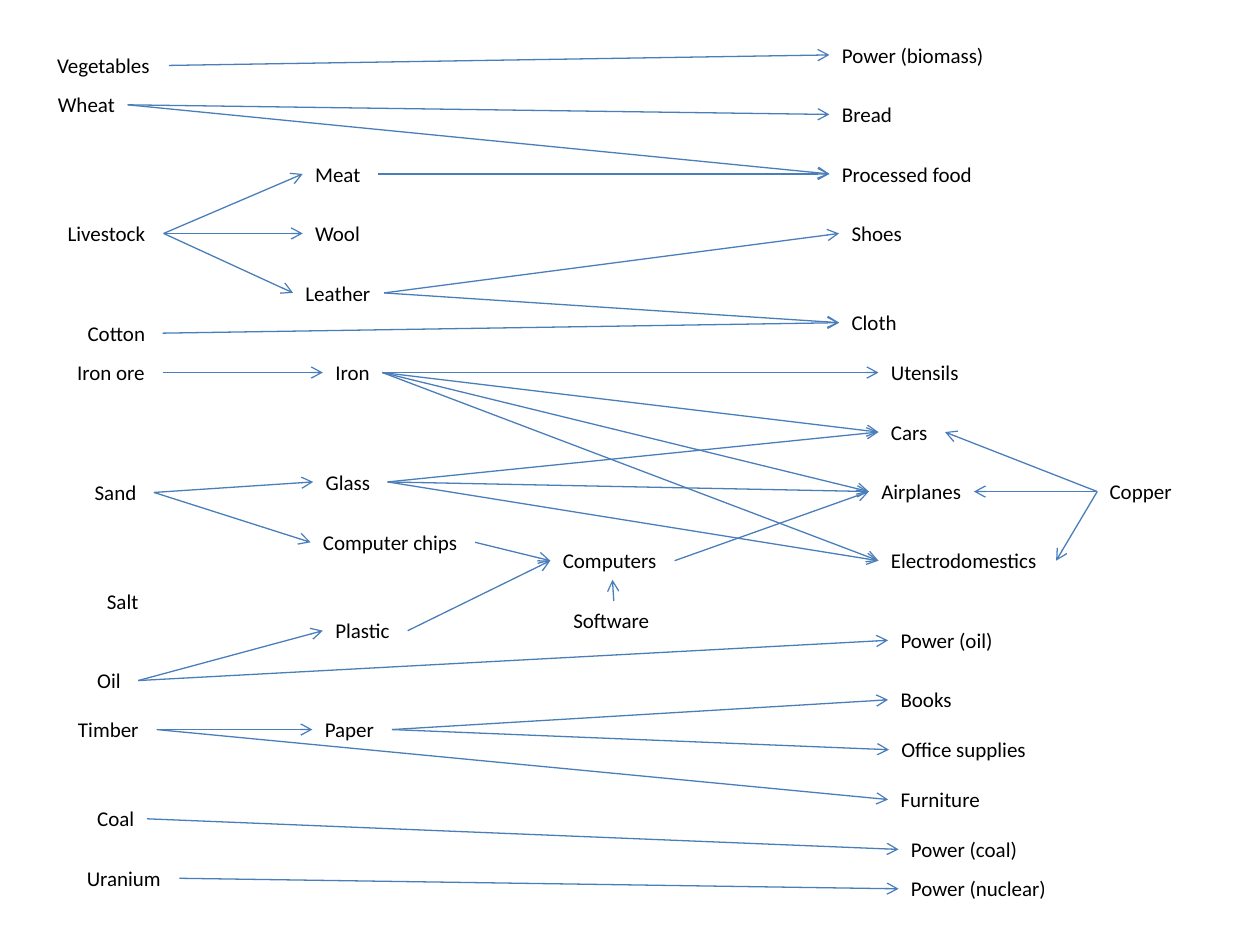
from lxml.etree import SubElement
from pptx import Presentation
from pptx.dml.color import RGBColor
from pptx.enum.shapes import MSO_CONNECTOR
from pptx.enum.text import MSO_AUTO_SIZE
from pptx.oxml.ns import qn
from pptx.util import Pt

COLORS = {"text": "000000", "arrow": "4A7EBB"}
FONT = "Calibri"
LABEL_HEIGHT = 21.8
TOP, LEFT, BOTTOM, RIGHT = range(4)

# Name: left, top, width
LABELS = {
    # Raw materials
    "Vegetables": (25.5, 26.5, 71),
    "Wheat": (26, 49, 47),
    "Livestock": (31.5, 122.5, 62),
    "Cotton": (43, 179.5, 50),
    "Iron ore": (37, 202, 56),
    "Sand": (47, 270.5, 41),
    "Salt": (54, 332.5, 35.5),
    "Oil": (48.5, 378, 30.5),
    "Timber": (37.5, 406, 52),
    "Coal": (48.5, 457, 35.5),
    "Uranium": (42.5, 491, 60),
    "Copper": (627, 270, 52.5),
    # Intermediate goods
    "Meat": (173, 88.5, 43),
    "Wool": (173, 122.5, 43),
    "Leather": (167.5, 156.5, 52),
    "Iron": (184.5, 202, 34),
    "Glass": (179, 264.5, 42.5),
    "Computer chips": (177.5, 299, 94),
    "Plastic": (184.5, 349.5, 48.5),
    "Paper": (178.5, 406, 45.5),
    "Computers": (314.5, 309.5, 71),
    "Software": (320.5, 343.5, 60.5),
    # Final products
    "Power (biomass)": (474, 20.5, 98.5),
    "Bread": (474, 54.5, 45.5),
    "Processed food": (474, 88.5, 91.5),
    "Shoes": (479.5, 122.5, 46),
    "Cloth": (479.5, 173.5, 42.5),
    "Utensils": (502, 202, 56),
    "Cars": (502, 236, 38),
    "Airplanes": (496.5, 270, 60),
    "Electrodomestics": (502, 309.5, 101.5),
    "Power (oil)": (507.5, 355, 70),
    "Books": (507.5, 389, 46),
    "Office supplies": (508, 417.5, 88),
    "Furniture": (507.5, 446, 62.5),
    "Power (coal)": (513.5, 474.5, 78),
    "Power (nuclear)": (513.5, 497, 94.5),
}

# Each good and what is made from it
USES = {
    "Vegetables": ["Power (biomass)"],
    "Wheat": ["Bread", "Processed food"],
    "Livestock": ["Meat", "Wool", "Leather"],
    "Meat": ["Processed food"],
    "Leather": ["Shoes", "Cloth"],
    "Cotton": ["Cloth"],
    "Iron ore": ["Iron"],
    "Iron": ["Utensils", "Cars", "Airplanes", "Electrodomestics"],
    "Sand": ["Glass", "Computer chips"],
    "Glass": ["Cars", "Airplanes", "Electrodomestics"],
    "Computer chips": ["Computers"],
    "Plastic": ["Computers"],
    "Software": ["Computers"],
    "Computers": ["Airplanes"],
    "Copper": ["Cars", "Airplanes", "Electrodomestics"],
    "Oil": ["Plastic", "Power (oil)"],
    "Timber": ["Paper", "Furniture"],
    "Paper": ["Books", "Office supplies"],
    "Coal": ["Power (coal)"],
    "Uranium": ["Power (nuclear)"],
}

# Sides joined by an arrow; most run from left to right
SIDES = {"Copper": (LEFT, RIGHT), "Software": (TOP, BOTTOM)}


def add_label(page, name, left, top, width):
    box = page.shapes.add_textbox(Pt(left), Pt(top), Pt(width), Pt(LABEL_HEIGHT))
    frame = box.text_frame
    frame.word_wrap = False
    frame.auto_size = MSO_AUTO_SIZE.SHAPE_TO_FIT_TEXT
    para = frame.paragraphs[0]
    para.text = name
    para.font.name = FONT
    para.font.size = Pt(12)
    para.font.color.rgb = RGBColor.from_string(COLORS["text"])
    return box


def add_arrow(page, source, target, sides):
    arrow = page.shapes.add_connector(MSO_CONNECTOR.STRAIGHT, 0, 0, 0, 0)
    arrow.begin_connect(source, sides[0])
    arrow.end_connect(target, sides[1])
    arrow.line.color.rgb = RGBColor.from_string(COLORS["arrow"])
    arrow.line.width = Pt(0.75)
    # Open arrowhead, no shadow
    properties = arrow._element.spPr
    SubElement(properties.get_or_add_ln(), qn("a:tailEnd"), type="arrow")
    SubElement(properties, qn("a:effectLst"))


def main():
    deck = Presentation()
    deck.slide_width, deck.slide_height = Pt(720), Pt(540)
    page = deck.slides.add_slide(deck.slide_layouts[6])

    boxes = {name: add_label(page, name, *place) for name, place in LABELS.items()}
    for good, products in USES.items():
        for product in products:
            sides = SIDES.get(good, (RIGHT, LEFT))
            add_arrow(page, boxes[good], boxes[product], sides)

    deck.save("out.pptx")


if __name__ == "__main__":
    main()
